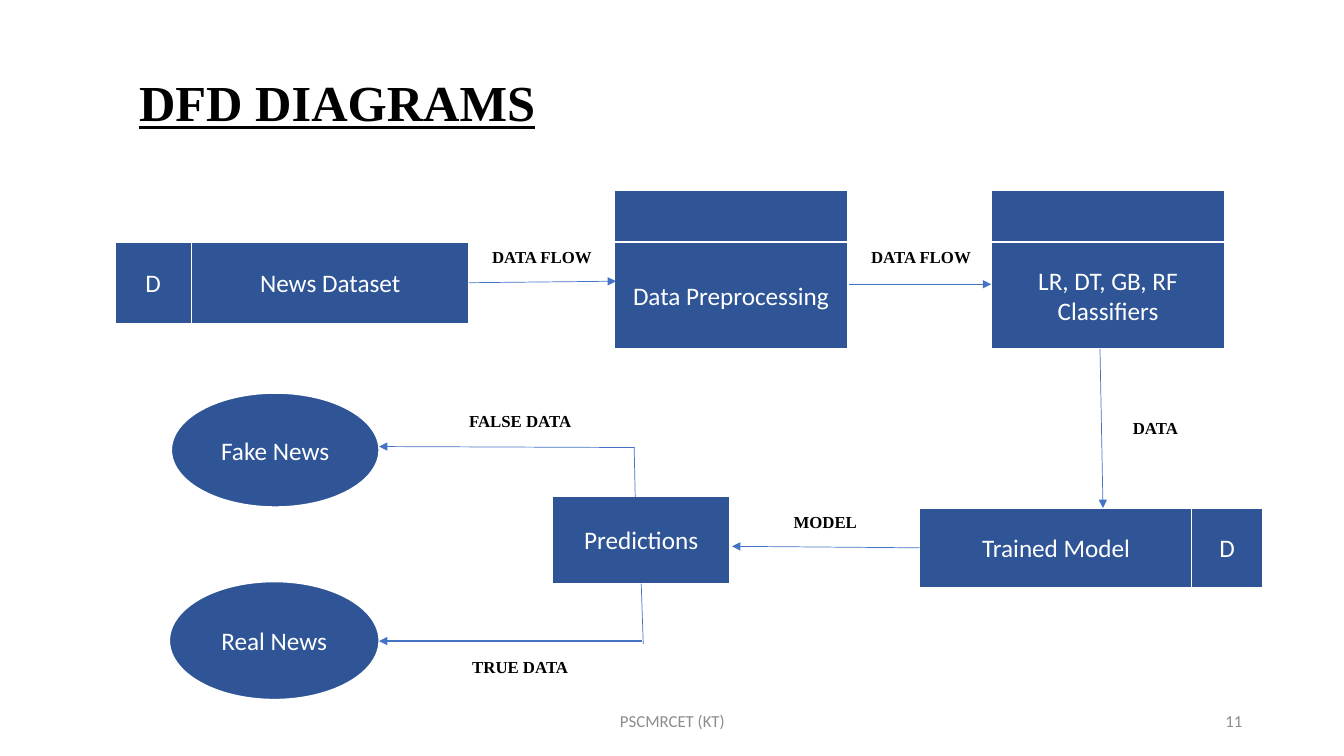
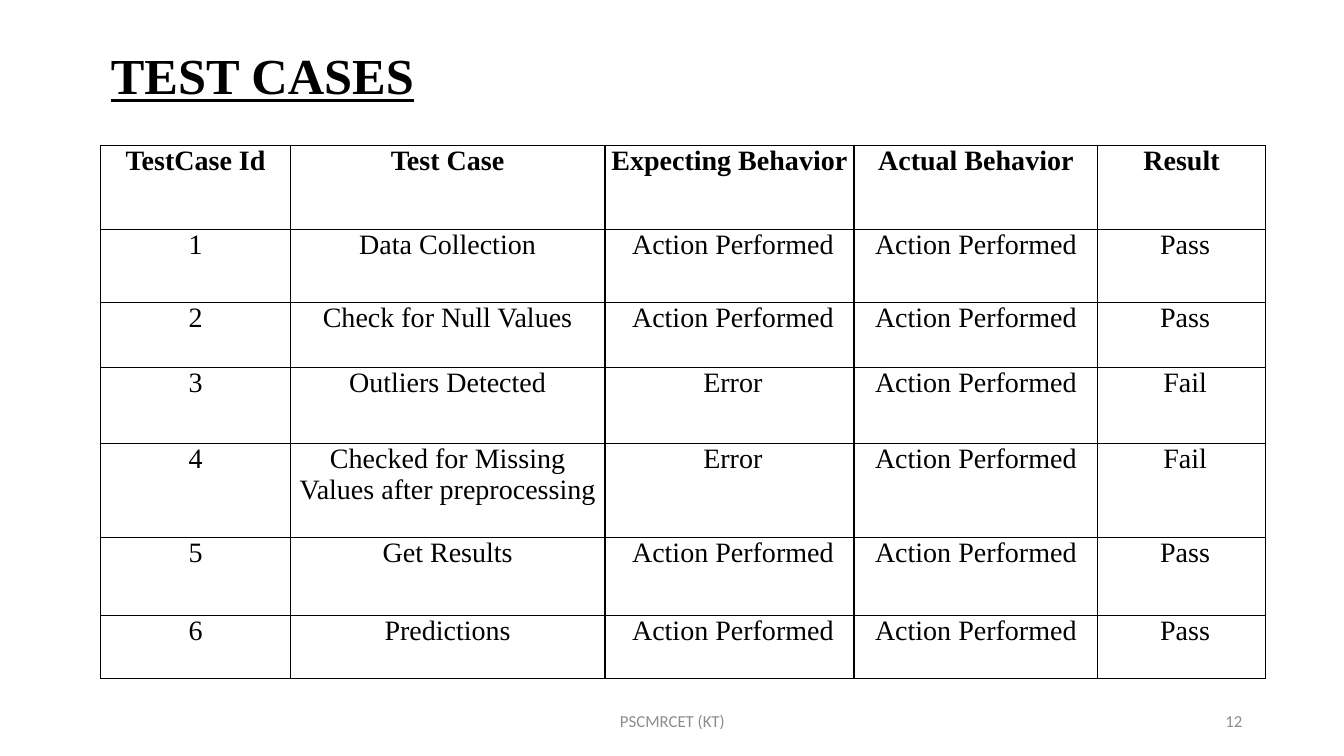
from dataclasses import dataclass

from lxml import etree
from pptx import Presentation
from pptx import util as u
from pptx.dml.color import RGBColor
from pptx.enum import shapes, text
from pptx.oxml import ns

EMU_PER_PX = 9144
TITLE_ONLY = 5


@dataclass(frozen=True)
class Theme:
    box: str = "2F5597"
    box_text: str = "FFFFFF"
    arrow: str = "4472C4"
    ink: str = "000000"
    muted: str = "8C8C8C"
    serif: str = "Times New Roman"
    sans: str = "Calibri"
    title_size: int = 36
    table_size: int = 20
    box_size: int = 18
    small_size: int = 12


THEME = Theme()
CENTER = text.PP_ALIGN.CENTER
MIDDLE = text.MSO_ANCHOR.MIDDLE


def px(*lengths):
    return [u.Emu(length * EMU_PER_PX) for length in lengths]


def rgb(color):
    return RGBColor.from_string(color)


def write(frame, content, size, font=THEME.serif, color=THEME.ink, bold=False,
          underline=False, align=CENTER, anchor=None):
    if anchor is not None:
        frame.vertical_anchor = anchor
    paragraph = frame.paragraphs[0]
    paragraph.alignment = align
    run = paragraph.add_run()
    run.text = content
    run.font.name = font
    run.font.size = u.Pt(size)
    run.font.color.rgb = rgb(color)
    run.font.bold = bold
    run.font.underline = underline


def add_borders(cell, color, width=1):
    properties = cell._tc.get_or_add_tcPr()
    for index, side in enumerate(("lnL", "lnR", "lnT", "lnB")):
        border = etree.Element(ns.qn(f"a:{side}"), w=str(u.Pt(width)))
        fill = etree.SubElement(border, ns.qn("a:solidFill"))
        etree.SubElement(fill, ns.qn("a:srgbClr"), val=color)
        properties.insert(index, border)


class Deck:
    def __init__(self, theme, footer):
        self.theme = theme
        self.footer = footer
        self.presentation = Presentation()
        self.presentation.slide_width, self.presentation.slide_height = px(1333, 750)
        self.slide = None

    def add_slide(self, title, number, bounds, align):
        layout = self.presentation.slide_layouts[TITLE_ONLY]
        self.slide = self.presentation.slides.add_slide(layout)
        shape = self.slide.shapes.title
        shape.left, shape.top, shape.width, shape.height = px(*bounds)
        shape.text_frame.auto_size = text.MSO_AUTO_SIZE.NONE
        write(shape.text_frame, title, self.theme.title_size, bold=True,
              underline=True, align=align, anchor=text.MSO_ANCHOR.TOP)
        muted = dict(font=self.theme.sans, color=self.theme.muted, anchor=MIDDLE)
        self.label(self.footer, 442, 695, 450, 40, **muted)
        self.label(str(number), 942, 695, 300, 40,
                   align=text.PP_ALIGN.RIGHT, **muted)

    def label(self, content, left, top, width, height=30, **style):
        shape = self.slide.shapes.add_textbox(*px(left, top, width, height))
        shape.text_frame.word_wrap = True
        write(shape.text_frame, content, self.theme.small_size, **style)

    def box(self, content, left, top, width, height,
            kind=shapes.MSO_SHAPE.RECTANGLE):
        shape = self.slide.shapes.add_shape(kind, *px(left, top, width, height))
        shape.shadow.inherit = False
        shape.fill.solid()
        shape.fill.fore_color.rgb = rgb(self.theme.box)
        shape.line.color.rgb = rgb(self.theme.box_text)
        shape.line.width = u.Pt(1)
        if content:
            write(shape.text_frame, content, self.theme.box_size,
                  font=self.theme.sans, color=self.theme.box_text, anchor=MIDDLE)
        return shape

    def process(self, content, left, top):
        self.box("", left, top, 232, 51)
        self.box(content, left, top + 51, 232, 106)

    def ellipse(self, content, left, top, width, height):
        self.box(content, left, top, width, height, shapes.MSO_SHAPE.OVAL)

    def line(self, start, end, arrow=True, width=0.5, begin=None, finish=None):
        connector = self.slide.shapes.add_connector(
            shapes.MSO_CONNECTOR.STRAIGHT, *px(*start, *end))
        connector.line.color.rgb = rgb(self.theme.arrow)
        connector.line.width = u.Pt(width)
        if arrow:
            etree.SubElement(connector.line._get_or_add_ln(),
                             ns.qn("a:tailEnd"), type="triangle")
        etree.SubElement(connector._element.spPr, ns.qn("a:effectLst"))
        if begin:
            connector.begin_connect(*begin)
        if finish:
            connector.end_connect(*finish)

    def table(self, rows, left, top, widths, heights, indents):
        frame = self.slide.shapes.add_table(
            len(rows), len(widths), *px(left, top, sum(widths), sum(heights)))
        table = frame.table
        table.first_row = table.horz_banding = False
        for column, width in zip(table.columns, px(*widths)):
            column.width = width
        for row, height in zip(table.rows, px(*heights)):
            row.height = height
        for row_index, row in enumerate(rows):
            for column_index, content in enumerate(row):
                cell = table.cell(row_index, column_index)
                is_header = row_index == 0
                indent = 0 if is_header else indents[column_index]
                cell.margin_left = px(indent)[0]
                cell.margin_right = cell.margin_top = cell.margin_bottom = 0
                cell.fill.background()
                add_borders(cell, self.theme.ink)
                write(cell.text_frame, content, self.theme.table_size,
                      bold=is_header)


def build_flow_slide(deck):
    deck.add_slide("DFD DIAGRAMS", 11, (93, 66, 483, 71), CENTER)

    deck.process("Data Preprocessing", 609, 189)
    deck.process("LR, DT, GB, RF Classifiers", 983, 189)
    dataset = deck.box("News Dataset", 190, 240, 275, 81)
    deck.box("D", 114, 240, 76, 81)
    model = deck.box("Trained Model", 912, 504, 271, 79)
    deck.box("D", 1182, 504, 70, 79)
    predictions = deck.box("Predictions", 548, 492, 176, 87)
    deck.ellipse("Fake News", 170, 390, 206, 113)
    deck.ellipse("Real News", 168, 577, 208, 117)

    deck.line((465, 281), (611, 279), begin=(dataset, 3))
    deck.line((842, 282), (983, 282))
    deck.line((1091, 346), (1094, 504))
    deck.line((912, 544), (726, 542), begin=(model, 1))
    deck.line((630, 493), (629, 443), arrow=False)
    deck.line((629, 444), (376, 443))
    deck.line((638, 639), (637, 579), arrow=False, finish=(predictions, 2))
    deck.line((637, 636), (376, 636), width=1)

    for content, left, top, width in (
        ("DATA FLOW", 476, 240, 123),
        ("DATA FLOW", 852, 240, 123),
        ("DATA", 1102, 410, 88),
        ("MODEL", 757, 503, 123),
        ("TRUE DATA", 423, 647, 186),
        ("FALSE DATA", 423, 403, 186),
    ):
        deck.label(content, left, top, width, bold=True)


def build_test_slide(deck):
    deck.add_slide("TEST CASES", 12, (100, 39, 409, 71), text.PP_ALIGN.LEFT)
    done = "Action Performed"
    cases = (
        ("Data Collection", done, "Pass"),
        ("Check for Null Values", done, "Pass"),
        ("Outliers Detected", "Error", "Fail"),
        ("Checked for Missing Values after preprocessing", "Error", "Fail"),
        ("Get Results", done, "Pass"),
        ("Predictions", done, "Pass"),
    )
    rows = [("TestCase Id", "Test Case", "Expecting Behavior",
             "Actual Behavior", "Result")]
    for number, (case, expected, result) in enumerate(cases, 1):
        rows.append((str(number), case, expected, done, result))
    deck.table(rows, 100, 144,
               widths=(188, 312, 247, 242, 166),
               heights=(84, 72, 65, 75, 93, 78, 62),
               indents=(0, 0, 7, 0, 7))


def main():
    deck = Deck(THEME, "PSCMRCET (KT)")
    build_flow_slide(deck)
    build_test_slide(deck)
    deck.presentation.save("out.pptx")


if __name__ == "__main__":
    main()
